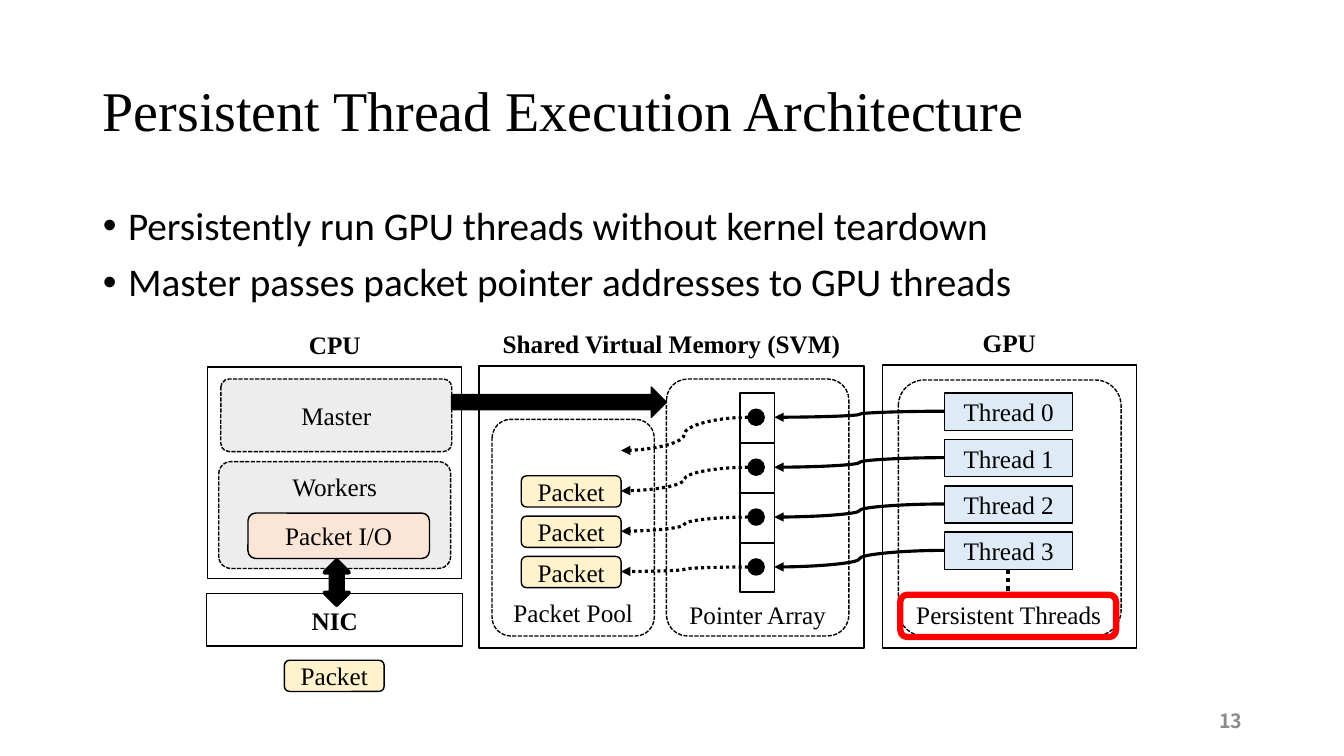
from typing import NamedTuple

from lxml import etree
from pptx import Presentation
from pptx.dml.color import RGBColor
from pptx.enum.dml import MSO_LINE
from pptx.enum.shapes import MSO_CONNECTOR, MSO_SHAPE
from pptx.enum.text import MSO_ANCHOR, MSO_AUTO_SIZE, PP_ALIGN
from pptx.oxml.ns import qn
from pptx.util import Inches, Pt

RECT, ROUND, OVAL = MSO_SHAPE.RECTANGLE, MSO_SHAPE.ROUNDED_RECTANGLE, MSO_SHAPE.OVAL
RIGHT_ARROW, UP_DOWN_ARROW = MSO_SHAPE.RIGHT_ARROW, MSO_SHAPE.UP_DOWN_ARROW
STRAIGHT, CURVE = MSO_CONNECTOR.STRAIGHT, MSO_CONNECTOR.CURVE
DASH, DOT = MSO_LINE.SQUARE_DOT, MSO_LINE.ROUND_DOT
LEFT, CENTER, RIGHT = PP_ALIGN.LEFT, PP_ALIGN.CENTER, PP_ALIGN.RIGHT
TOP, MIDDLE = MSO_ANCHOR.TOP, MSO_ANCHOR.MIDDLE

SERIF, SANS, NUMBER_FONT = "Times New Roman", "Calibri", "Noto Sans CJK KR"
BLACK, WHITE, GRAY, RED = "000000", "FFFFFF", "8C8C8C", "FF0000"
PALE_GRAY, PEACH, CREAM, PALE_BLUE = "EDEDED", "FBE5D6", "FFF2CC", "DEEBF7"
PANEL_RADIUS = 0.116
THREAD_COUNT = 4
THREAD_STEP, POINTER_STEP, PACKET_STEP = 0.46, 0.495, 0.4


class Box(NamedTuple):
    left: float
    top: float
    width: float
    height: float

    def inside(self, dx, dy, width, height):
        return Box(self.left + dx, self.top + dy, width, height)

    def lengths(self):
        return [Inches(value) for value in self]


def color(hex_string):
    return RGBColor.from_string(hex_string)


def style(paragraph, size=18, font=SERIF, ink=BLACK, bold=False, align=CENTER):
    paragraph.alignment = align
    paragraph.font.size = Pt(size)
    paragraph.font.name = font
    paragraph.font.bold = bold
    paragraph.font.color.rgb = color(ink)


def block(shapes, kind, box, fill=WHITE, line=BLACK, weight=1, dash=None,
          radius=None, text=None, bold=False):
    shape = shapes.add_shape(kind, *box.lengths())
    shape.shadow.inherit = False
    if radius is not None:
        shape.adjustments[0] = radius
    if fill:
        shape.fill.solid()
        shape.fill.fore_color.rgb = color(fill)
    else:
        shape.fill.background()
    shape.line.color.rgb = color(line)
    shape.line.width = Pt(weight)
    if dash:
        shape.line.dash_style = dash
    if text:
        shape.text_frame.text = text
        shape.text_frame.vertical_anchor = MIDDLE
        style(shape.text_frame.paragraphs[0], bold=bold)


def label(shapes, box, text, anchor=TOP, **font):
    frame = shapes.add_textbox(*box.lengths()).text_frame
    frame.word_wrap = True
    frame.vertical_anchor = anchor
    frame.text = text
    style(frame.paragraphs[0], **font)


def link(shapes, kind, start, end, weight=2.25, dash=None, arrow=True):
    points = [Inches(value) for value in (*start, *end)]
    connector = shapes.add_connector(kind, *points)
    connector.line.color.rgb = color(BLACK)
    connector.line.width = Pt(weight)
    if dash:
        connector.line.dash_style = dash
    properties = connector._element.spPr
    if arrow:
        etree.SubElement(properties.find(qn("a:ln")), qn("a:tailEnd"), type="triangle")
    etree.SubElement(properties, qn("a:effectLst"))


def place(placeholder, box, anchor):
    placeholder.left, placeholder.top, placeholder.width, placeholder.height = box.lengths()
    placeholder.text_frame.vertical_anchor = anchor
    placeholder.text_frame.auto_size = MSO_AUTO_SIZE.NONE
    return placeholder.text_frame


def heading(slide, box):
    frame = place(slide.shapes.title, box, MIDDLE)
    frame.text = "Persistent Thread Execution Architecture"
    style(frame.paragraphs[0], 40, align=LEFT)
    frame.paragraphs[0].line_spacing = 0.9


def key_points(slide, box):
    frame = place(slide.placeholders[1], box, TOP)
    frame.text = ("Persistently run GPU threads without kernel teardown\n"
                  "Master passes packet pointer addresses to GPU threads")
    for point in frame.paragraphs:
        style(point, 28, SANS, align=LEFT)
        point.line_spacing = 0.9
        point.space_before = Pt(10)
        indents = point._p.get_or_add_pPr()
        indents.set("marL", str(Inches(0.25)))
        indents.set("indent", str(Inches(-0.25)))
        etree.SubElement(indents, qn("a:buFont"), typeface="Arial")
        etree.SubElement(indents, qn("a:buChar"), char="•")
        # Bullet settings must precede the default run properties
        indents.append(indents.find(qn("a:defRPr")))


def panel(shapes, box, title):
    block(shapes, ROUND, box, radius=0)
    label(shapes, box.inside(0, -0.42, box.width, 0.4), title, bold=True)


def packet(shapes, left, top):
    block(shapes, ROUND, Box(left, top, 0.99, 0.31), CREAM, text="Packet")


def shared_memory(shapes, box):
    panel(shapes, box, "Shared Virtual Memory (SVM)")
    # Packet pool
    pool = box.inside(0.13, 0.53, 1.61, 2.15)
    block(shapes, ROUND, pool, dash=DASH, radius=PANEL_RADIUS)
    label(shapes, pool.inside(0, 1.72, pool.width, 0.4), "Packet Pool")
    for row in range(3):
        packet(shapes, pool.left + 0.29, pool.top + 0.56 + row * PACKET_STEP)
    # Pointer array
    array = box.inside(1.86, 0.13, 1.81, 2.55)
    block(shapes, ROUND, array, dash=DASH, radius=PANEL_RADIUS)
    label(shapes, array.inside(0, 2.14, array.width, 0.4), "Pointer Array")
    for row in range(THREAD_COUNT):
        y = row * POINTER_STEP
        block(shapes, RECT, array.inside(0.73, 0.14 + y, 0.34, 0.49))
        block(shapes, OVAL, array.inside(0.81, 0.3 + y, 0.16, 0.16), BLACK)
    # Dotted pointers into the pool
    for row in range(THREAD_COUNT):
        link(shapes, CURVE,
             (array.left + 0.81, array.top + 0.38 + row * POINTER_STEP),
             (pool.left + 1.28, pool.top + 0.31 + row * PACKET_STEP), dash=DOT)


def processor(shapes, box):
    panel(shapes, box, "CPU")
    workers = box.inside(0.11, 0.94, 2.3, 1.06)
    block(shapes, ROUND, workers, PALE_GRAY, dash=DASH, radius=0.114)
    label(shapes, workers.inside(0, 0.05, workers.width, 0.4), "Workers")
    block(shapes, ROUND, box.inside(0.13, 0.12, 2.29, 0.72), PALE_GRAY,
          dash=DASH, radius=0.114, text="Master")
    block(shapes, ROUND, workers.inside(0.29, 0.51, 1.8, 0.45), PEACH, text="Packet I/O")


def network_card(shapes, box):
    block(shapes, ROUND, box, radius=0, text="NIC", bold=True)
    block(shapes, UP_DOWN_ARROW, box.inside(1.17, -0.33, 0.24, 0.44), BLACK, weight=3)
    packet(shapes, box.left + 0.77, box.top + 0.66)


def graphics_processor(shapes, box):
    panel(shapes, box, "GPU")
    block(shapes, ROUND, box.inside(0.16, 0.15, 2.21, 2.54), dash=DASH, radius=PANEL_RADIUS)
    threads = shapes.add_group_shape().shapes
    for row in range(THREAD_COUNT):
        block(threads, RECT, box.inside(0.62, 0.28 + row * THREAD_STEP, 1.27, 0.37),
              PALE_BLUE, text=f"Thread {row}")
    label(shapes, box.inside(0.16, 2.28, 2.19, 0.4), "Persistent Threads")
    x = box.left + 1.25
    link(shapes, STRAIGHT, (x, box.top + 2.03), (x, box.top + 2.28), 3, DOT, arrow=False)
    block(shapes, ROUND, box.inside(0.18, 2.28, 2.14, 0.42), None, RED, 4.5)


def architecture(shapes, box):
    memory = box.inside(2.7, 0.01, 3.82, 2.8)
    gpu = box.inside(6.7, 0, 2.52, 2.81)
    shared_memory(shapes, memory)
    processor(shapes, box.inside(0.01, 0.02, 2.52, 2.1))
    network_card(shapes, box.inside(0, 2.27, 2.54, 0.52))
    graphics_processor(shapes, gpu)
    # Links between the panels
    block(shapes, RIGHT_ARROW, box.inside(2.43, 0.22, 2.13, 0.3), BLACK)
    for row in range(THREAD_COUNT):
        link(shapes, CURVE,
             (gpu.left + 0.62, gpu.top + 0.46 + row * THREAD_STEP),
             (memory.left + 2.93, memory.top + 0.51 + row * POINTER_STEP))


def main():
    deck = Presentation()
    deck.slide_width, deck.slide_height = Inches(13.33), Inches(7.5)
    slide = deck.slides.add_slide(deck.slide_layouts[1])
    heading(slide, Box(0.92, 0.4, 11.5, 1.45))
    key_points(slide, Box(0.92, 2, 11.5, 4.76))
    label(slide.shapes, Box(9.42, 6.95, 3, 0.4), "13", MIDDLE,
          size=14, font=NUMBER_FONT, ink=GRAY, bold=True, align=RIGHT)
    architecture(slide.shapes, Box(2.05, 3.62, 9.22, 3.24))
    deck.save("out.pptx")


if __name__ == "__main__":
    main()
